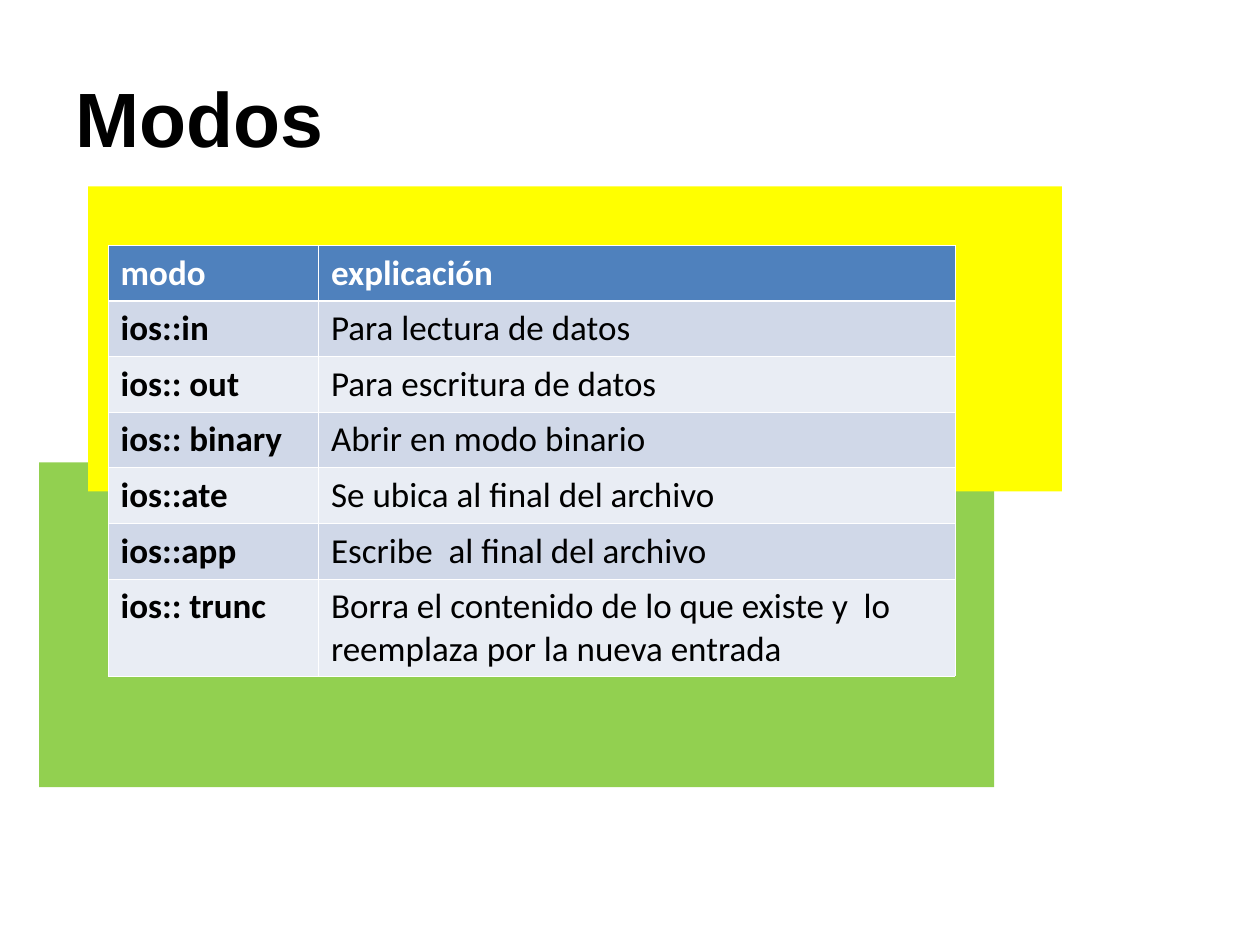
from dataclasses import dataclass

from lxml.etree import SubElement
from pptx import Presentation
from pptx.dml.color import RGBColor
from pptx.enum.shapes import MSO_SHAPE
from pptx.enum.text import MSO_ANCHOR
from pptx.oxml.ns import qn
from pptx.util import Cm, Pt


@dataclass(frozen=True)
class Theme:
    """Colours, fonts, type sizes and line widths of the slide."""

    ink: str = "000000"
    white: str = "FFFFFF"
    yellow: str = "FFFF00"
    green: str = "92D050"
    header: str = "4F81BD"
    bands: tuple = ("D0D8E8", "E9EDF4")
    title_font: str = "Arial"
    table_font: str = "Calibri"
    title_size: float = 44
    table_size: float = 20
    thin: float = 0.45
    thick: float = 1.47


@dataclass(frozen=True)
class Box:
    """A rectangular region in centimetres."""

    left: float
    top: float
    width: float
    height: float

    def inner(self, left, top, width, height):
        """Return a box whose corner is measured from this one."""
        return Box(self.left + left, self.top + top, width, height)

    def lengths(self):
        """Return position and size as slide lengths."""
        return [Cm(value) for value in (self.left, self.top, self.width, self.height)]


THEME = Theme()
COLUMN_WIDTHS = (4.24, 12.83)
ROW_HEIGHT = 1.12
LAST_ROW_HEIGHT = 1.96
MODES = (
    ("modo", "explicación"),
    ("ios::in", "Para lectura de datos"),
    ("ios:: out", "Para escritura de datos"),
    ("ios:: binary", "Abrir en modo binario"),
    ("ios::ate", "Se ubica al final del archivo"),
    ("ios::app", "Escribe  al final del archivo"),
    ("ios:: trunc", "Borra el contenido de lo que existe y  lo reemplaza por la nueva entrada"),
)


def set_values(target, values):
    """Set each attribute of the target from a dict."""
    for name, value in values.items():
        setattr(target, name, value)


def write_text(frame, text, color, **font_format):
    """Write one formatted paragraph into a text frame."""
    span = frame.paragraphs[0].add_run()
    span.text = text
    set_values(span.font, font_format)
    span.font.color.rgb = RGBColor.from_string(color)


def add_title(page, box):
    """Place the slide title in the box."""
    frame = page.shapes.add_textbox(*box.lengths()).text_frame
    set_values(frame, {"word_wrap": True, "vertical_anchor": MSO_ANCHOR.MIDDLE})
    write_text(frame, "Modos", THEME.ink, name=THEME.title_font,
               size=Pt(THEME.title_size), bold=True)


def add_panels(page, box):
    """Place the two overlapping colour panels in the box."""
    panels = (
        (box.inner(0, 5.56, 19.25, 6.55), THEME.green),
        (box.inner(0.99, 0, 19.63, 6.15), THEME.yellow),
    )
    for area, color in panels:
        panel = page.shapes.add_shape(MSO_SHAPE.RECTANGLE, *area.lengths())
        panel.shadow.inherit = False
        panel.fill.solid()
        panel.fill.fore_color.rgb = RGBColor.from_string(color)
        panel.line.fill.background()


def add_borders(cell, row):
    """Draw white cell borders, thicker below the header row."""
    properties = cell._tc.get_or_add_tcPr()
    thick_sides = {0: "B", 1: "T"}
    for side in "LRTB":
        width = THEME.thick if thick_sides.get(row) == side else THEME.thin
        line = SubElement(properties, qn(f"a:ln{side}"), w=str(Pt(width)))
        fill = SubElement(line, qn("a:solidFill"))
        SubElement(fill, qn("a:srgbClr"), val=THEME.white)


def format_cell(cell, text, row, column):
    """Fill, border and write one table cell."""
    is_header = row == 0
    add_borders(cell, row)
    cell.fill.solid()
    color = THEME.header if is_header else THEME.bands[(row - 1) % 2]
    cell.fill.fore_color.rgb = RGBColor.from_string(color)
    write_text(cell.text_frame, text, THEME.white if is_header else THEME.ink,
               name=THEME.table_font, size=Pt(THEME.table_size),
               bold=is_header or column == 0)


def add_mode_table(page, box):
    """Place the table of file modes in the box."""
    table = page.shapes.add_table(len(MODES), len(COLUMN_WIDTHS), *box.lengths()).table
    for column, width in zip(table.columns, COLUMN_WIDTHS):
        column.width = Cm(width)
    for row, texts in enumerate(MODES):
        is_last = row == len(MODES) - 1
        table.rows[row].height = Cm(LAST_ROW_HEIGHT if is_last else ROW_HEIGHT)
        for column, text in enumerate(texts):
            format_cell(table.cell(row, column), text, row, column)


def main():
    """Build and save the slide."""
    deck = Presentation()
    set_values(deck, {"slide_width": Cm(25.4), "slide_height": Cm(19.05)})
    page = deck.slides.add_slide(deck.slide_layouts[6])
    table_height = ROW_HEIGHT * (len(MODES) - 1) + LAST_ROW_HEIGHT
    add_panels(page, Box(0.79, 3.76, 20.62, 12.11))
    add_title(page, Box(1.27, 0.76, 22.86, 3.18))
    add_mode_table(page, Box(2.18, 4.95, sum(COLUMN_WIDTHS), table_height))
    deck.save("out.pptx")


if __name__ == "__main__":
    main()
